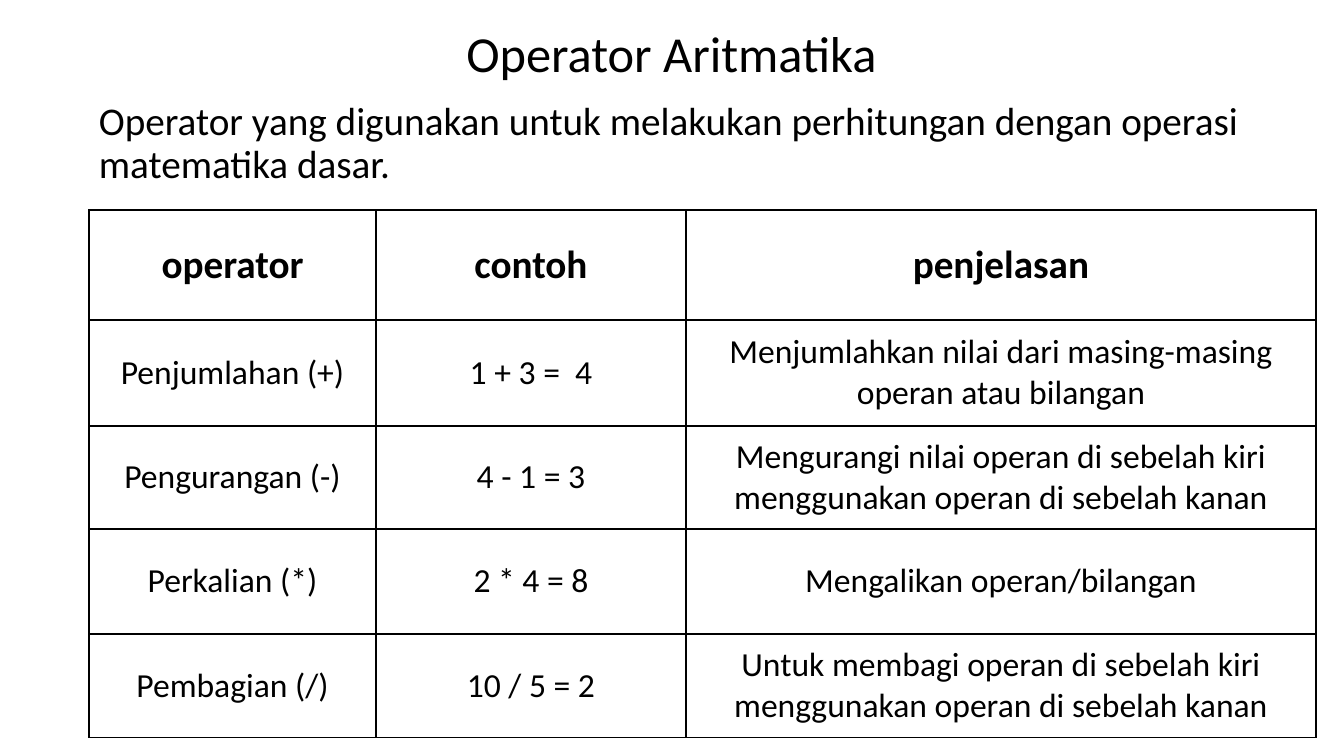
from pptx import Presentation
from pptx import util as u
from pptx.dml.color import RGBColor
from pptx.enum import text
from pptx.oxml import parse_xml
from pptx.oxml.ns import nsdecls

EMU_PER_PIXEL = 914400 / 100.8
BLACK, WHITE = "000000", "FFFFFF"
COLUMN_WIDTHS = [287, 310, 630]
ROW_HEIGHTS = [110, 106, 103, 105, 104]
OPERATORS = [
    ("operator", "contoh", "penjelasan"),
    ("Penjumlahan (+)", "1 + 3 =  4",
     "Menjumlahkan nilai dari masing-masing operan atau bilangan"),
    ("Pengurangan\u00a0(-)", "4 - 1 = 3",
     "Mengurangi nilai operan di sebelah kiri menggunakan operan di sebelah kanan"),
    ("Perkalian\u00a0(*)", "2 * 4 = 8", "Mengalikan operan/bilangan"),
    ("Pembagian\u00a0(/)", "10 / 5 = 2",
     "Untuk membagi operan di sebelah kiri menggunakan operan di sebelah kanan"),
]


def px(pixels):
    """Turn whole pixels into EMU."""
    return u.Emu(round(pixels * EMU_PER_PIXEL))


def color(hex_string):
    """Turn a hex string into a colour."""
    return RGBColor.from_string(hex_string)


def set_attributes(target, values):
    """Set each named attribute of the target."""
    for name, value in values.items():
        setattr(target, name, value)


def write(frame, wording, size, bold=False, **paragraph_format):
    """Write one formatted paragraph into a text frame."""
    frame.text = wording
    paragraph = frame.paragraphs[0]
    set_attributes(paragraph, paragraph_format)
    font = paragraph.runs[0].font
    set_attributes(font, {"name": "Calibri", "size": u.Pt(size), "bold": bold})
    font.color.rgb = color(BLACK)


def add_title(slide, wording, box):
    """Place and format the title placeholder."""
    title = slide.shapes.title
    set_attributes(title, dict(zip(("left", "top", "width", "height"), map(px, box))))
    title.text_frame.vertical_anchor = text.MSO_ANCHOR.MIDDLE
    write(title.text_frame, wording, 36, alignment=text.PP_ALIGN.CENTER, line_spacing=0.9)


def add_description(slide, wording, box):
    """Add the wrapped introduction text."""
    frame = slide.shapes.add_textbox(*map(px, box)).text_frame
    frame.word_wrap = True
    write(frame, wording, 28, alignment=text.PP_ALIGN.LEFT, line_spacing=0.9)


def add_borders(cell):
    """Draw a thin line on all four sides of a cell."""
    properties = cell._tc.get_or_add_tcPr()
    for index, side in enumerate(("lnL", "lnR", "lnT", "lnB")):
        properties.insert(index, parse_xml(
            f'<a:{side} {nsdecls("a")} w="{u.Pt(1)}"><a:solidFill>'
            f'<a:srgbClr val="{BLACK}"/></a:solidFill></a:{side}>'))


def add_operator_table(slide, left, top):
    """Add the bordered table of operators."""
    table = slide.shapes.add_table(
        len(ROW_HEIGHTS), len(COLUMN_WIDTHS), px(left), px(top),
        px(sum(COLUMN_WIDTHS)), px(sum(ROW_HEIGHTS))).table
    set_attributes(table, {"first_row": False, "horz_banding": False})
    for column, width in zip(table.columns, COLUMN_WIDTHS):
        column.width = px(width)
    for index, (row, height) in enumerate(zip(table.rows, ROW_HEIGHTS)):
        row.height = px(height)
        header = index == 0
        for cell, wording in zip(row.cells, OPERATORS[index]):
            write(cell.text_frame, wording, 28 if header else 24, header,
                  alignment=text.PP_ALIGN.CENTER)
            cell.vertical_anchor = text.MSO_ANCHOR.MIDDLE
            if index > 1:
                set_attributes(cell, {"margin_left": px(16), "margin_right": px(16),
                                      "margin_top": px(10), "margin_bottom": px(10)})
            cell.fill.solid()
            cell.fill.fore_color.rgb = color(WHITE)
            add_borders(cell)


def main():
    """Build and save the slide."""
    presentation = Presentation()
    set_attributes(presentation, {"slide_width": px(1344), "slide_height": px(756)})
    slide = presentation.slides.add_slide(presentation.slide_layouts[5])
    add_title(slide, "Operator Aritmatika", (92, 0, 1159, 113))
    add_description(
        slide, "Operator yang digunakan untuk melakukan perhitungan dengan operasi "
        "matematika dasar.", (89, 97, 1159, 562))
    add_operator_table(slide, 89, 210)
    presentation.save("out.pptx")


main()
